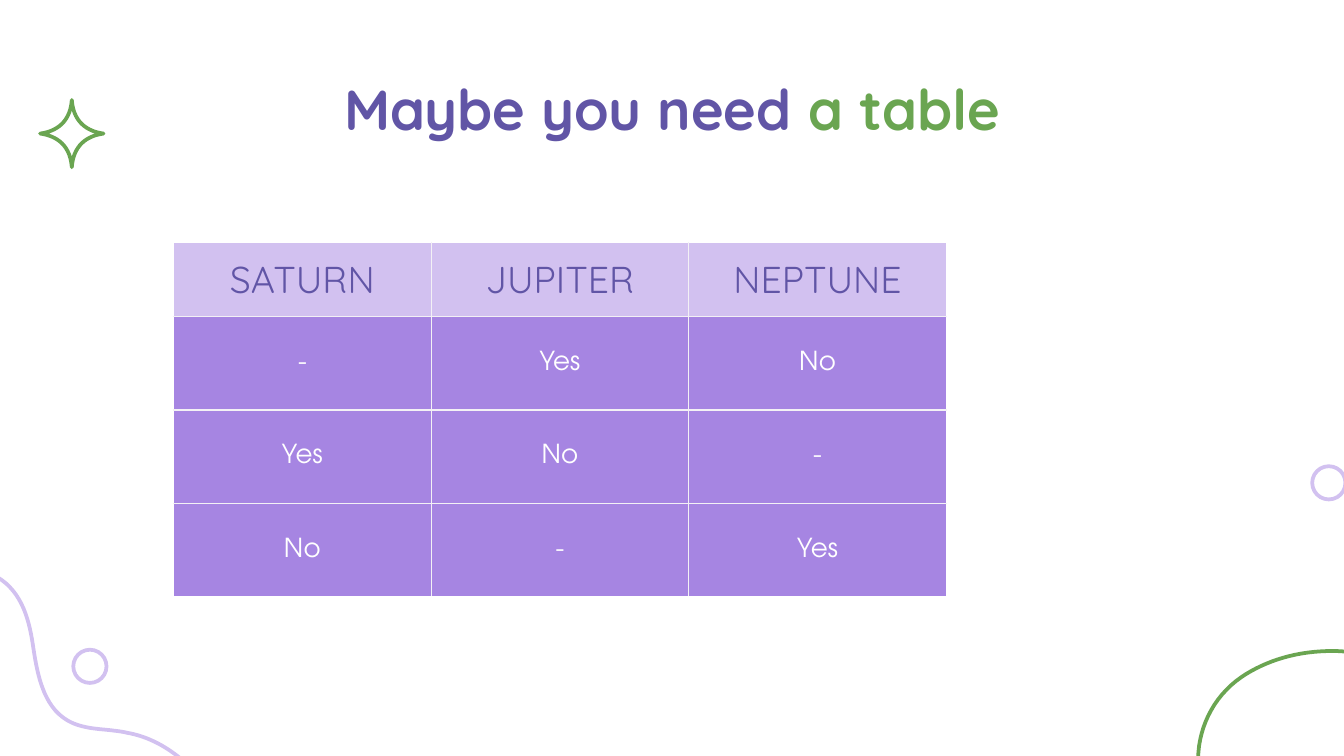
from lxml.etree import SubElement
from pptx import Presentation
from pptx.dml.color import RGBColor
from pptx.enum.shapes import MSO_SHAPE
from pptx.enum.text import MSO_ANCHOR, MSO_AUTO_SIZE, PP_ALIGN
from pptx.oxml.ns import qn
from pptx.util import Pt

PURPLE, VIOLET, LILAC = "6155A6", "A685E2", "D2C1F0"
GREEN, WHITE, GRID = "6AA551", "FFFFFF", "F3F1F5"
STROKE = 2
INSET = 7.2
HEADER_H = 39.4

HEADERS = ["SATURN", "JUPITER", "NEPTUNE"]
ANSWERS = [["-", "Yes", "No"], ["Yes", "No", "-"], ["No", "-", "Yes"]]

STAR_ARM = [(0, -18), (1, -4), (11, -0.8), (17, 0)]
WAVE = [(0, 0), (13.6, 8.2), (17.3, 23.6), (19.4, 38.7),
        (21.6, 52.8), (24.8, 69), (37.1, 76.5),
        (43.6, 80.5), (51.5, 81.2), (59.4, 81.9),
        (62.6, 82.3), (66.2, 82.6), (69.5, 83.4),
        (79.9, 85.2), (89.6, 90.2), (97.9, 97)]
ARC = [(0.7, 60.9), (0, 42.5), (8.2, 24.9), (23.7, 14.1),
       (37, 5), (54, 0), (72.3, 0),
       (75, 0), (77.6, 0.1), (80.2, 0.4)]


def rgb(value):
    """Turn a hex string into a colour."""
    return RGBColor.from_string(value)


def add_text(p, text, font="Quicksand", size=14, color=WHITE, bold=False):
    """Add a formatted run to a centred paragraph."""
    p.alignment = PP_ALIGN.CENTER
    r = p.add_run()
    r.text = text
    r.font.name, r.font.size, r.font.bold = font, Pt(size), bold
    r.font.color.rgb = rgb(color)


def style_outline(sp, color):
    """Give a shape a rounded outline with no fill or shadow."""
    sp.shadow.inherit = False
    sp.fill.background()
    sp.line.color.rgb = rgb(color)
    sp.line.width = Pt(STROKE)
    ln = sp.line._get_or_add_ln()
    ln.set("cap", "rnd")
    SubElement(ln, qn("a:round"))


def sample_curve(controls, steps=16):
    """Return points along a chain of cubic curves."""
    points = [controls[0]]
    for i in range(0, len(controls) - 1, 3):
        a, b, c, d = controls[i:i + 4]
        for k in range(1, steps + 1):
            t = k / steps
            u = 1 - t
            points.append(tuple(
                u**3 * a[n] + 3 * u * u * t * b[n] + 3 * u * t * t * c[n] + t**3 * d[n]
                for n in (0, 1)))
    return points


def add_path(s, left, top, points, color, close=False):
    """Draw an outline through points measured from left and top."""
    emu = [(Pt(left + x), Pt(top + y)) for x, y in points]
    builder = s.shapes.build_freeform(*emu[0])
    builder.add_line_segments(emu[1:], close=close)
    style_outline(builder.convert_to_shape(), color)


def add_star(s, cx, cy):
    """Draw the four-pointed star around its centre."""
    arm = sample_curve(STAR_ARM)
    right = arm + [(x, -y) for x, y in reversed(arm[:-1])]
    left = [(-x, y) for x, y in reversed(right[1:-1])]
    add_path(s, cx, cy, right + left, GREEN, close=True)


def add_ring(s, left, top, size):
    """Draw a lilac ring."""
    sp = s.shapes.add_shape(MSO_SHAPE.OVAL, Pt(left), Pt(top), Pt(size), Pt(size))
    style_outline(sp, LILAC)


def add_decorations(s):
    """Place the rings, star and curves around the slide edges."""
    add_ring(s, 39.3, 348.1, 17.8)
    add_star(s, 38.5, 71.6)
    add_ring(s, 703, 249.8, 17.8)
    add_path(s, -1.4, 309.2, sample_curve(WAVE), LILAC)
    add_path(s, 641.2, 348.8, sample_curve(ARC), GREEN)


def add_title(s, left, top, width, height):
    """Place the two-colour title."""
    sp = s.shapes.title
    sp.left, sp.top, sp.width, sp.height = Pt(left), Pt(top), Pt(width), Pt(height)
    tf = sp.text_frame
    tf.word_wrap, tf.auto_size = True, MSO_AUTO_SIZE.NONE
    tf.vertical_anchor = MSO_ANCHOR.MIDDLE
    tf.margin_left = tf.margin_right = tf.margin_top = tf.margin_bottom = Pt(INSET)
    p = tf.paragraphs[0]
    add_text(p, "Maybe you need ", size=30.2, color=PURPLE, bold=True)
    add_text(p, "a table", size=30.2, color=GREEN, bold=True)


def add_border(cell, side):
    """Draw a thin grid line on one side of a cell."""
    ln = SubElement(cell._tc.get_or_add_tcPr(), qn(f"a:ln{side}"), w=str(Pt(0.75)))
    fill = SubElement(ln, qn("a:solidFill"))
    SubElement(fill, qn("a:srgbClr"), val=GRID)


def add_answers(s, left, top, width, height):
    """Place the planet table in its box."""
    rows = [HEADERS] + ANSWERS
    table = s.shapes.add_table(len(rows), len(HEADERS), Pt(left), Pt(top),
                               Pt(width), Pt(height)).table
    table.first_row = table.horz_banding = False
    for column in table.columns:
        column.width = Pt(width / len(HEADERS))
    for i, values in enumerate(rows):
        table.rows[i].height = Pt((height - HEADER_H) / len(ANSWERS) if i else HEADER_H)
        for j, value in enumerate(values):
            cell = table.cell(i, j)
            edges = {"L": j > 0, "R": j < len(HEADERS) - 1,
                     "T": i > 0, "B": i < len(rows) - 1}
            for side, inner in edges.items():
                if inner:
                    add_border(cell, side)
            cell.fill.solid()
            cell.fill.fore_color.rgb = rgb(VIOLET if i else LILAC)
            cell.vertical_anchor = MSO_ANCHOR.MIDDLE
            cell.margin_left = cell.margin_right = Pt(INSET)
            cell.margin_top = cell.margin_bottom = Pt(INSET)
            p = cell.text_frame.paragraphs[0]
            if i:
                add_text(p, value, font="TeX Gyre Adventor")
            else:
                add_text(p, value, size=20, color=PURPLE)


def main():
    """Build and save the slide."""
    prs = Presentation()
    prs.slide_width, prs.slide_height = Pt(720), Pt(405)
    s = prs.slides.add_slide(prs.slide_layouts[5])
    s.background.fill.solid()
    s.background.fill.fore_color.rgb = rgb(WHITE)
    add_decorations(s)
    add_title(s, 57.6, 36, 604.8, 43.2)
    add_answers(s, 93, 130, 414, 189.7)
    prs.save("out.pptx")


if __name__ == "__main__":
    main()
